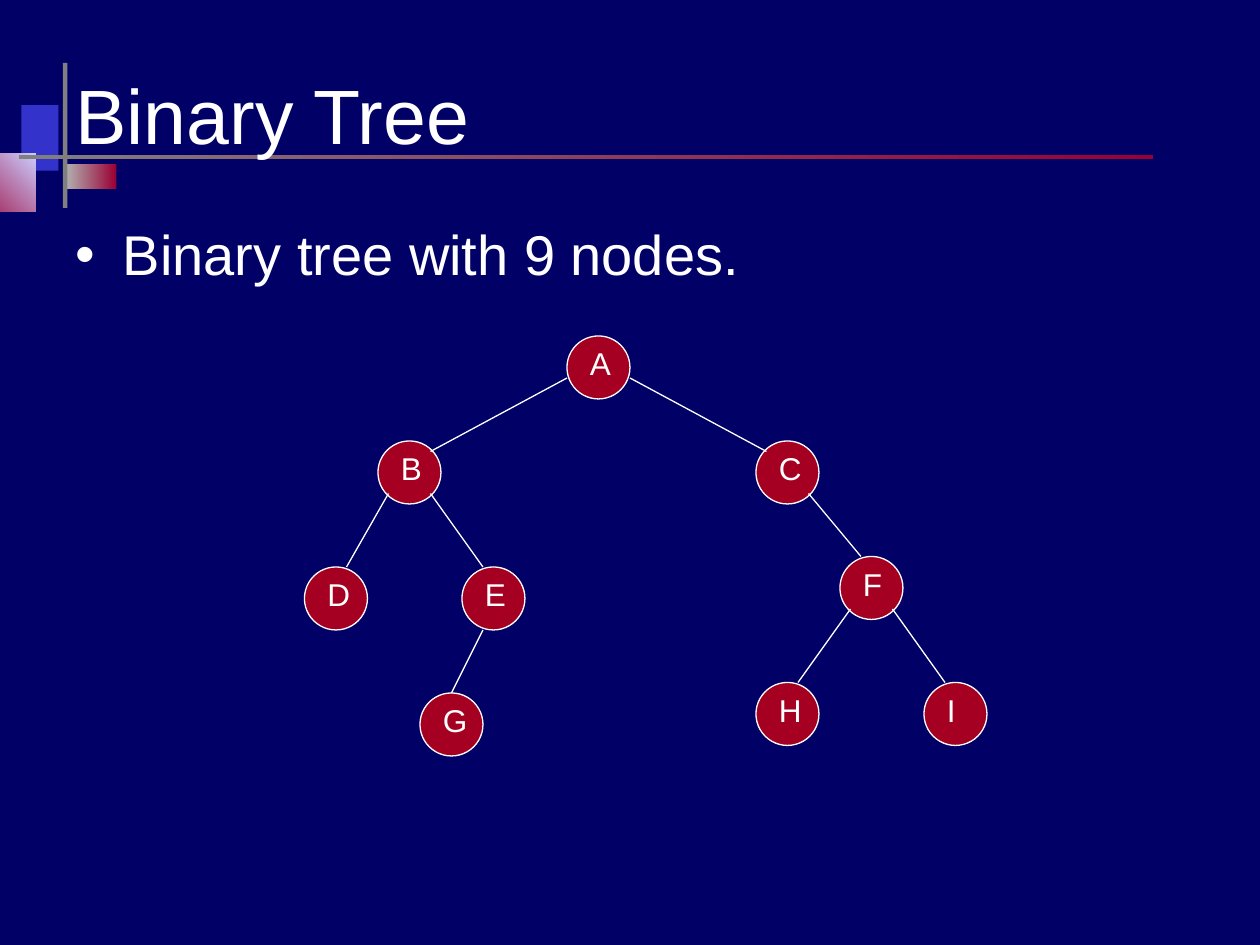
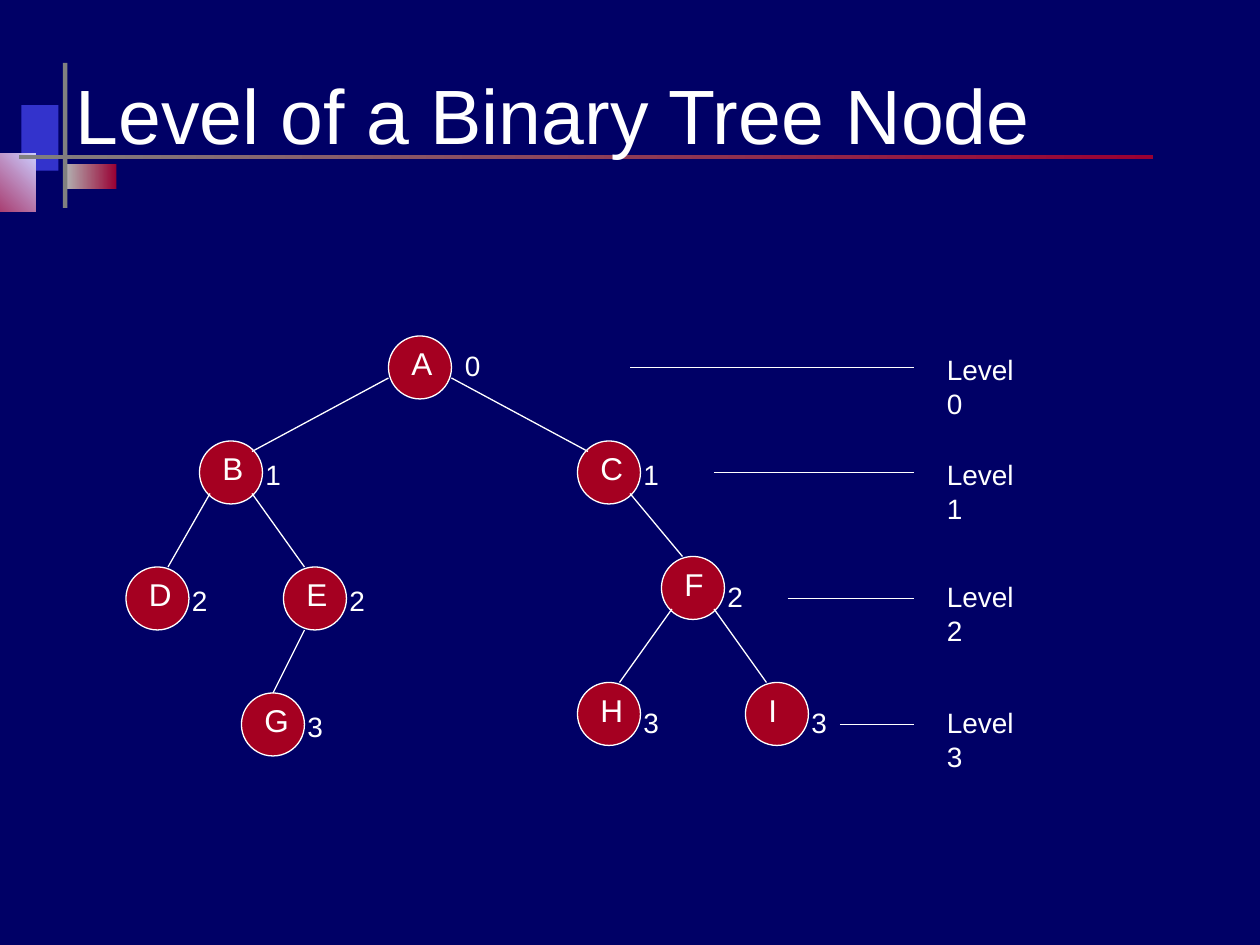
from dataclasses import dataclass

from lxml import etree
from pptx import Presentation
from pptx.dml.color import RGBColor
from pptx.enum.shapes import MSO_CONNECTOR, MSO_SHAPE
from pptx.enum.text import MSO_ANCHOR, MSO_AUTO_SIZE, PP_ALIGN
from pptx.oxml.ns import qn
from pptx.util import Cm, Pt

RECT, OVAL = MSO_SHAPE.RECTANGLE, MSO_SHAPE.OVAL
LINE = MSO_CONNECTOR.STRAIGHT
LEFT, MIDDLE = PP_ALIGN.LEFT, MSO_ANCHOR.MIDDLE
FIXED = MSO_AUTO_SIZE.NONE


@dataclass(frozen=True)
class Theme:
    back: str = "000066"
    ink: str = "FFFFFF"
    node: str = "A50021"
    blue: str = "3333CC"
    pale: str = "CCCCFF"
    wine: str = "990033"
    gray: str = "808080"
    silver: str = "B2B2B2"
    font: str = "Arial"
    title: int = 44
    body: int = 32
    name: int = 18
    label: int = 16
    stroke: float = 0.75


THEME = Theme()

# Tree drawings sit on a grid of twelve steps to the inch
STEP = 2.54 / 12
SIZE = 6

# Node: column, row, width of its name box
NODES = {
    "A": (54, 32, 4), "B": (36, 42, 4), "C": (72, 42, 4),
    "D": (29, 54, 5), "E": (44, 54, 4), "F": (80, 53, 4),
    "G": (40, 66, 5), "H": (72, 65, 4), "I": (88, 65, 5),
}

# Edge: parent, child, start within parent, end within child
EDGES = [
    ("A", "B", (0, 4), (5, 1)), ("A", "C", (6, 4), (1, 1)),
    ("B", "D", (1, 5), (4, 0)), ("B", "E", (5, 5), (2, 0)),
    ("E", "G", (2, 6), (3, 0)), ("C", "F", (5, 5), (2, 0)),
    ("F", "H", (1, 5), (4, 0)), ("F", "I", (5, 5), (2, 0)),
]

# Depth digits: most sit just right of the node, some are nudged
DEPTHS = ["A", "BC", "DEF", "GHI"]
NEAR = (5.1, 1)
NUDGED = {"A": (6.1, 0.6), "F": (5.1, 1.6), "H": (5.1, 1.6), "I": (5.1, 1.6)}

# Level guide: line start, line row, label row
GUIDES = [(60, 35, 33), (68, 45, 43), (75, 57, 54.6), (80, 69, 66.6)]


def grid(*steps):
    return [Cm(n * STEP) for n in steps]


def color(code):
    return RGBColor.from_string(code)


def style(para, size):
    para.alignment = LEFT
    para.font.name = THEME.font
    para.font.size = Pt(size)
    para.font.color.rgb = color(THEME.ink)


def stroke(line):
    line.color.rgb = color(THEME.ink)
    line.width = Pt(THEME.stroke)


def block(slide, kind, box, fill):
    shape = slide.shapes.add_shape(kind, *box)
    shape.shadow.inherit = False
    shape.fill.solid()
    shape.fill.fore_color.rgb = color(fill)
    shape.line.fill.background()
    return shape


def fade(shape, start, end, angle):
    shape.fill.gradient()
    shape.fill.gradient_angle = angle
    for stop, code in zip(shape.fill.gradient_stops, (start, end)):
        stop.color.rgb = color(code)


def text(slide, words, box, size, wrap=True):
    frame = slide.shapes.add_textbox(*box).text_frame
    frame.word_wrap = wrap
    frame.text = words
    style(frame.paragraphs[0], size)


def link(slide, start, end):
    line = slide.shapes.add_connector(LINE, *grid(*start), *grid(*end))
    stroke(line.line)
    etree.SubElement(line.element.spPr, qn("a:effectLst"))


def holder(shape, words, box, size):
    shape.left, shape.top, shape.width, shape.height = map(Cm, box)
    frame = shape.text_frame
    frame.auto_size = FIXED
    frame.text = words
    style(frame.paragraphs[0], size)
    return frame


def page(deck, layout, title):
    slide = deck.slides.add_slide(deck.slide_layouts[layout])
    frame = holder(slide.shapes.title, title, (1.27, 1.02, 22.86, 2.54),
                   THEME.title)
    frame.vertical_anchor = MIDDLE
    return slide


def dress(deck, slide):
    """Set the master's background and move the title ornament onto it."""
    master = deck.slide_master
    master.background.fill.solid()
    master.background.fill.fore_color.rgb = color(THEME.back)
    parts = [
        ((0.43, 2.12, 0.75, 1.32), THEME.blue, None, 0),
        ((1.32, 3.3, 1.03, 0.52), THEME.silver, THEME.wine, 0),
        ((-0.84, 3.09, 1.56, 1.18), THEME.wine, THEME.pale, 45),
        ((1.27, 1.27, 0.09, 2.92), THEME.gray, None, 0),
        ((0.38, 3.12, 22.86, 0.09), THEME.gray, THEME.wine, 0),
    ]
    for spot, (box, start, end, angle) in enumerate(parts, 2):
        shape = block(slide, RECT, map(Cm, box), start)
        if end:
            fade(shape, start, end, angle)
        master.shapes.element.insert(spot, shape.element)


def tree(slide, shift=0):
    for name, (col, row, wide) in NODES.items():
        col += shift
        disc = block(slide, OVAL, grid(col, row, SIZE, SIZE), THEME.node)
        stroke(disc.line)
        text(slide, name, grid(col + 1, row + 0.2, wide, 4.8), THEME.name)
    for top, low, start, end in EDGES:
        ends = [(NODES[key][0] + dx + shift, NODES[key][1] + dy)
                for key, (dx, dy) in ((top, start), (low, end))]
        link(slide, *ends)


def levels(slide, shift):
    for depth, names in enumerate(DEPTHS):
        for name in names:
            col, row, _ = NODES[name]
            dx, dy = NUDGED.get(name, NEAR)
            box = grid(col + shift + dx, row + dy, 3.8, 4.4)
            text(slide, str(depth), box, THEME.label, wrap=False)
    for depth, (start, row, top) in enumerate(GUIDES):
        link(slide, (start, row), (87, row))
        text(slide, f"Level {depth}", grid(89, top, 10.9, 4.4),
             THEME.label, wrap=False)


def main():
    deck = Presentation()
    deck.slide_width, deck.slide_height = Cm(25.4), Cm(19.05)

    # Binary tree
    slide = page(deck, 1, "Binary Tree")
    dress(deck, slide)
    frame = holder(slide.placeholders[1], "Binary tree with 9 nodes.",
                   (1.27, 4.45, 22.86, 1.47), THEME.body)
    frame.paragraphs[0].line_spacing = 0.9
    frame.paragraphs[0].space_before = Pt(0)
    tree(slide)

    # Node levels
    slide = page(deck, 5, "Level of a Binary Tree Node")
    shift = -17
    tree(slide, shift)
    levels(slide, shift)

    deck.save("out.pptx")


if __name__ == "__main__":
    main()
